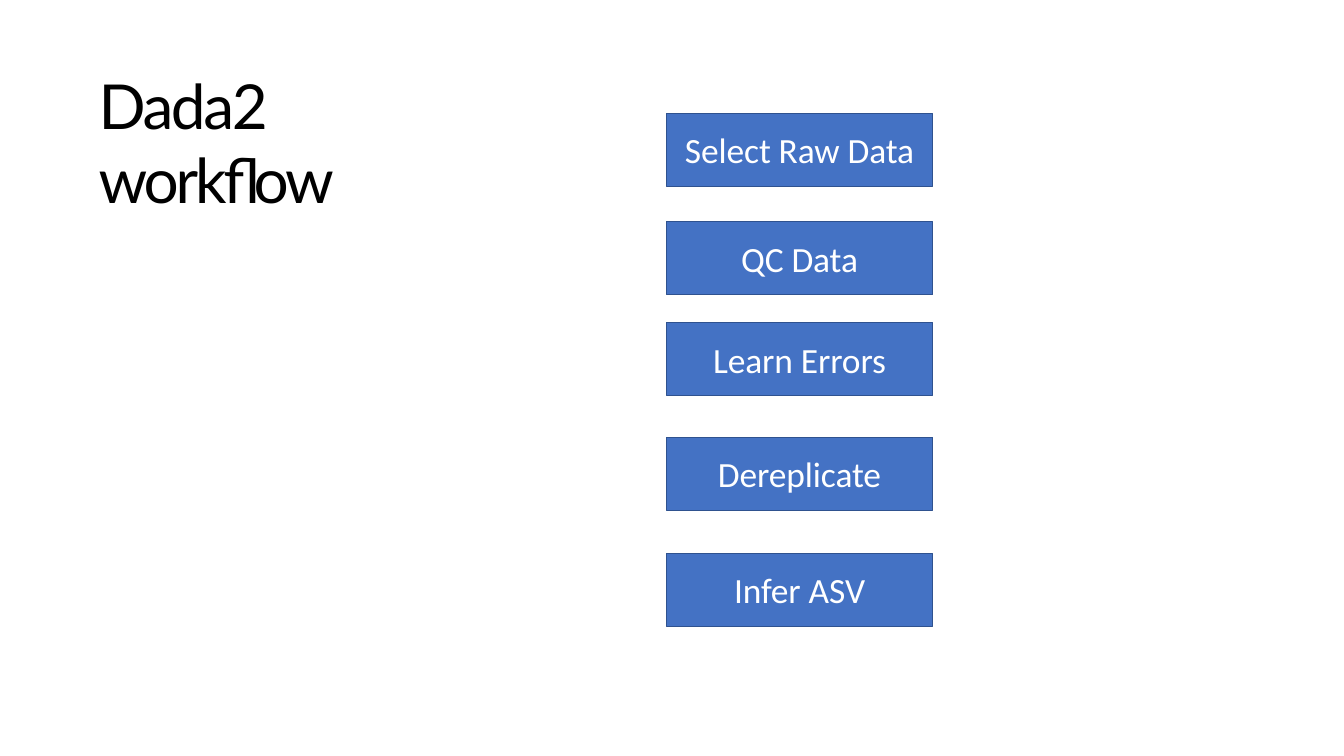
from dataclasses import dataclass

from pptx import Presentation
from pptx.dml.color import RGBColor
from pptx.enum.shapes import MSO_SHAPE as Shape
from pptx.enum.text import MSO_ANCHOR as Anchor, MSO_AUTO_SIZE as AutoSize, PP_ALIGN as Align
from pptx.util import Inches, Pt


@dataclass(frozen=True)
class Theme:
    title_color: RGBColor = RGBColor.from_string("000000")
    step_fill: RGBColor = RGBColor.from_string("4472C4")
    step_border: RGBColor = RGBColor.from_string("2F528F")
    step_text: RGBColor = RGBColor.from_string("FFFFFF")
    title_font: str = "Lato"
    step_font: str = "Calibri"
    title_size: int = 63
    step_size: int = 36


THEME = Theme()
STEP_LEFT, STEP_WIDTH, STEP_HEIGHT = 9.4, 3.76, 1.03
STEPS = [
    ("Select Raw Data", 1.6),
    ("QC Data", 3.13),
    ("Learn Errors", 4.55),
    ("Dereplicate", 6.17),
    ("Infer ASV", 7.81),
]


def add_spaced_run(paragraph, text, spacing):
    run = paragraph.add_run()
    run.text = text
    run._r.get_or_add_rPr().set("spc", str(round(spacing * 100)))


def prepare_frame(frame, anchor, autosize):
    frame.margin_left = frame.margin_right = 0
    frame.margin_top = frame.margin_bottom = 0
    frame.word_wrap = True
    frame.auto_size = autosize
    frame.vertical_anchor = anchor


def style_paragraph(paragraph, font_name, size, color, align):
    paragraph.alignment = align
    paragraph.font.name = font_name
    paragraph.font.size = Pt(size)
    paragraph.font.color.rgb = color


def fill_title(slide):
    title = slide.shapes.title
    title.left, title.top = Inches(1.39), Inches(0.95)
    title.width, title.height = Inches(5.71), Inches(1.08)
    prepare_frame(title.text_frame, Anchor.TOP, AutoSize.SHAPE_TO_FIT_TEXT)
    heading = title.text_frame.paragraphs[0]
    style_paragraph(heading, THEME.title_font, THEME.title_size, THEME.title_color, Align.LEFT)
    add_spaced_run(heading, "Dada2 ", -2.4)
    add_spaced_run(heading, "workflow", -3.2)


def add_step(slide, label, top):
    step = slide.shapes.add_shape(
        Shape.RECTANGLE, Inches(STEP_LEFT), Inches(top), Inches(STEP_WIDTH), Inches(STEP_HEIGHT)
    )
    step.shadow.inherit = False
    step.fill.solid()
    step.fill.fore_color.rgb = THEME.step_fill
    step.line.color.rgb = THEME.step_border
    step.line.width = Pt(1)
    prepare_frame(step.text_frame, Anchor.MIDDLE, AutoSize.NONE)
    caption = step.text_frame.paragraphs[0]
    style_paragraph(caption, THEME.step_font, THEME.step_size, THEME.step_text, Align.CENTER)
    add_spaced_run(caption, label, -0.1)


def main():
    deck = Presentation()
    deck.slide_width, deck.slide_height = Inches(18.96), Inches(10.67)
    slide = deck.slides.add_slide(deck.slide_layouts[5])
    fill_title(slide)
    for label, top in STEPS:
        add_step(slide, label, top)
    deck.save("out.pptx")


if __name__ == "__main__":
    main()
